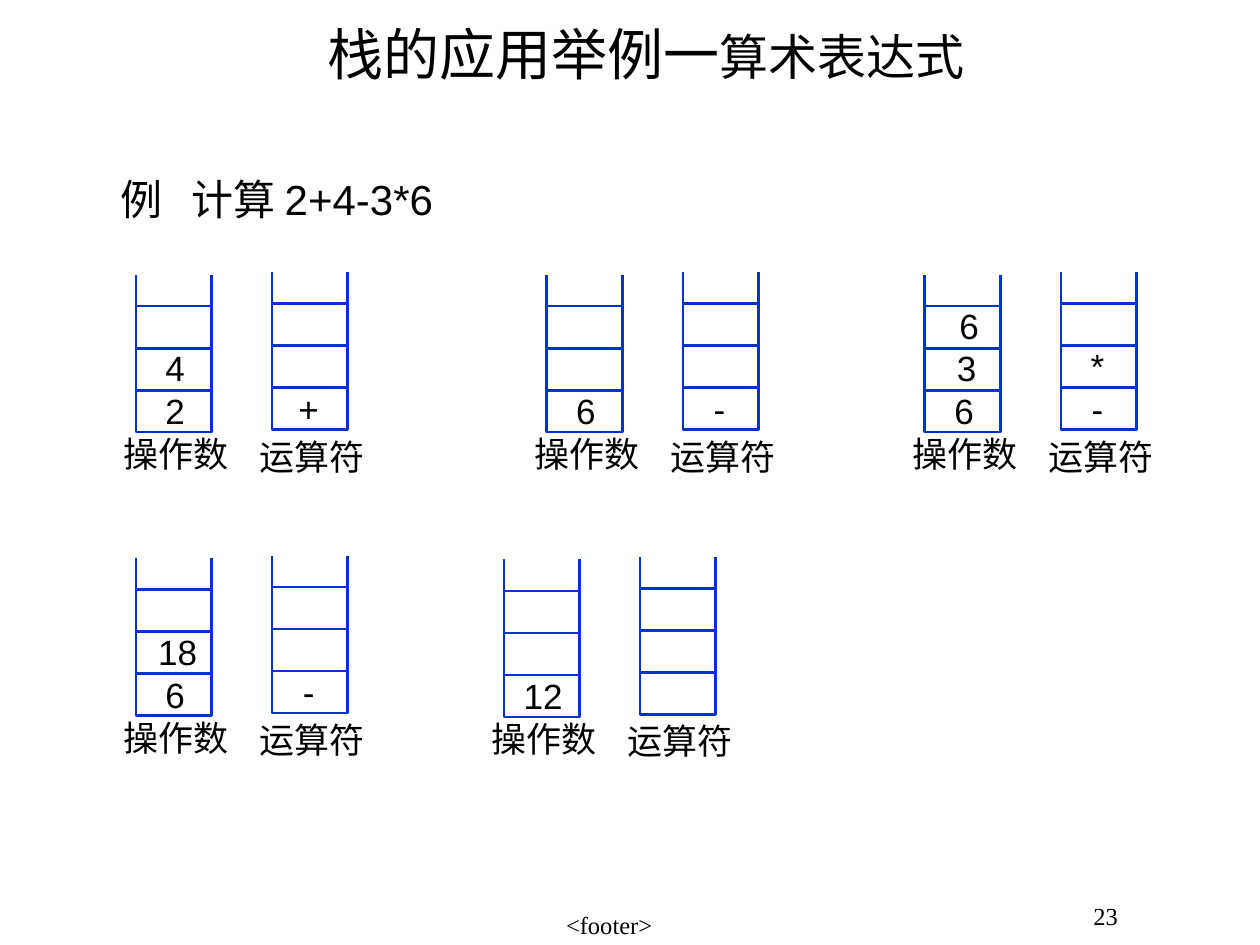
import pptx
import pptx.util
import pptx.dml.color
import pptx.enum.text
import pptx.enum.shapes
import pptx.oxml.ns
import lxml.etree

Inches = pptx.util.Inches
Pt = pptx.util.Pt
ALIGN = pptx.enum.text.PP_ALIGN
ANCHOR = pptx.enum.text.MSO_ANCHOR
FIT = pptx.enum.text.MSO_AUTO_SIZE
SANS, CJK, SERIF = "Arial", "Noto Sans CJK SC", "Times New Roman"
BLUE, WHITE, BLACK = "0033CC", "FFFFFF", "000000"
qn = pptx.oxml.ns.qn
rgb = pptx.dml.color.RGBColor.from_string


def style(run, size, font):
    run.font.size = Pt(size)
    run.font.name = font
    run.font.color.rgb = rgb(BLACK)
    east = lxml.etree.SubElement(run.font._element, qn("a:ea"))
    east.set("typeface", CJK)


def label(home, text, left, top, width, height, size=20, font=SANS,
          align=ALIGN.CENTER, anchor=ANCHOR.MIDDLE, wrap=False):
    box = home.add_textbox(Inches(left), Inches(top), Inches(width), Inches(height))
    frame = box.text_frame
    frame.text = text
    frame.word_wrap = wrap
    frame.auto_size = FIT.NONE if wrap else FIT.SHAPE_TO_FIT_TEXT
    frame.vertical_anchor = anchor
    para = frame.paragraphs[0]
    para.alignment = align
    style(para.runs[0], size, font)
    return para


deck = pptx.Presentation()
deck.slide_width, deck.slide_height = Inches(10), Inches(7.5)
slide = deck.slides.add_slide(deck.slide_layouts[5])

# Title in two sizes
title = slide.shapes.title
title.left, title.top = Inches(1), Inches(0.17)
title.width, title.height = Inches(8.25), Inches(0.5)
frame = title.text_frame
frame.auto_size = FIT.NONE
frame.vertical_anchor = ANCHOR.MIDDLE
para = frame.paragraphs[0]
para.alignment = ALIGN.CENTER
for text, size in (("栈的应用举例一", 32), ("算术表达式", 28)):
    run = para.add_run()
    run.text = text
    style(run, size, CJK)

# Slide number and footer
para = label(slide.shapes, "23", 8.58, 7.08, 0.5, 0.42, 14, SERIF,
             ALIGN.LEFT, ANCHOR.TOP, True)
para.line_spacing = 1.1
label(slide.shapes, "<footer>", 3.25, 7.17, 3.17, 0.33, 14, SERIF,
      anchor=ANCHOR.TOP, wrap=True)

# Example line, with a tab stop after the first word
para = label(slide.shapes, "例\t计算 2+4-3*6", 0.86, 1.33, 2.85, 0.5, 24,
             align=ALIGN.LEFT, wrap=True)
stops = lxml.etree.SubElement(para._p.get_or_add_pPr(), qn("a:tabLst"))
stop = lxml.etree.SubElement(stops, qn("a:tab"))
stop.set("pos", str(Inches(0.56)))
stop.set("algn", "l")

# Each step: left, bottom, operands and operators from the bottom up.
# An entry holds its text and the offset of its centre from the stack's left.
steps = [
    (1.08, 3.43, [("2", 0.31), ("4", 0.31)], [("+", 0.29)]),
    (4.34, 3.43, [("6", 0.31)], [("-", 0.29)]),
    (7.34, 3.43, [("6", 0.31), ("3", 0.33), ("6", 0.35)],
     [("-", 0.29), ("*", 0.29)]),
    (1.08, 5.68, [("6", 0.31), ("18", 0.33)], [("-", 0.29)]),
    (4.0, 5.69, [("12", 0.31)], []),
]
CELL_W, CELL_H, TALL = 0.6, 1 / 3, 1.25
widths = {"+": 0.36, "-": 0.29, "*": 0.31, "18": 0.51, "12": 0.51}

for left, base, nums, signs in steps:
    group = slide.shapes.add_group_shape().shapes
    stacks = [(left, base, nums, "操作数", 0.05),
              (left + 1.08, base - 0.02, signs, "运算符", 0.01)]

    # Open-topped stacks with three cells
    for x, low, items, name, lift in stacks:
        for side in (x, x + CELL_W):
            wall = group.add_connector(
                pptx.enum.shapes.MSO_CONNECTOR.STRAIGHT,
                Inches(side), Inches(low), Inches(side), Inches(low - TALL))
            wall.line.color.rgb = rgb(BLUE)
            wall.line.width = Pt(1.5)
            lxml.etree.SubElement(wall._element.spPr, qn("a:effectLst"))
        for row in range(1, 4):
            cell = group.add_shape(
                pptx.enum.shapes.MSO_SHAPE.RECTANGLE, Inches(x),
                Inches(low - row * CELL_H), Inches(CELL_W), Inches(CELL_H))
            cell.shadow.inherit = False
            cell.fill.solid()
            cell.fill.fore_color.rgb = rgb(WHITE)
            cell.line.color.rgb = rgb(BLUE)
            cell.line.width = Pt(1.5)

    # Stack names and entries
    for x, low, items, name, lift in stacks:
        label(group, name, x - 0.2, low - lift, 1.04, 0.44)
        for row, (text, mid) in enumerate(items):
            wide = widths.get(text, 0.35)
            label(group, text, x + mid - wide / 2, low - 0.39 - row * 0.34,
                  wide, 0.44)

deck.save("out.pptx")
